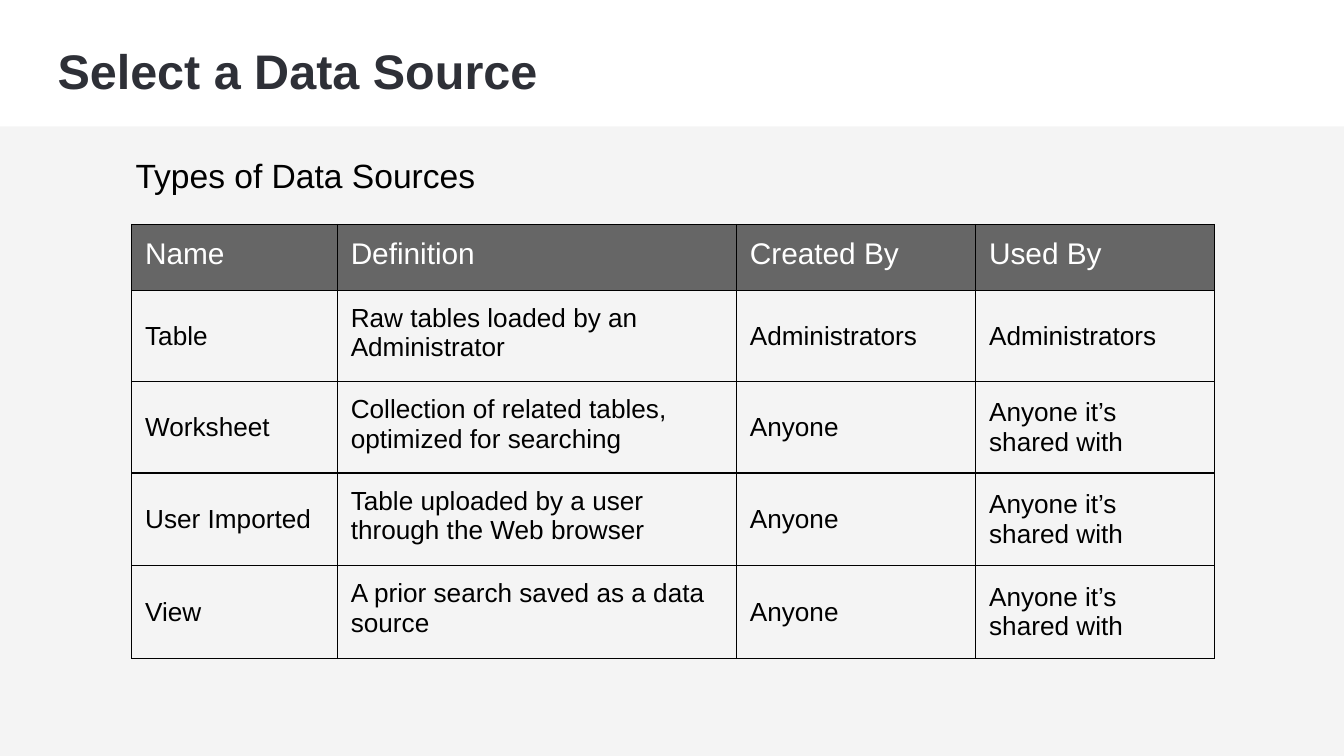
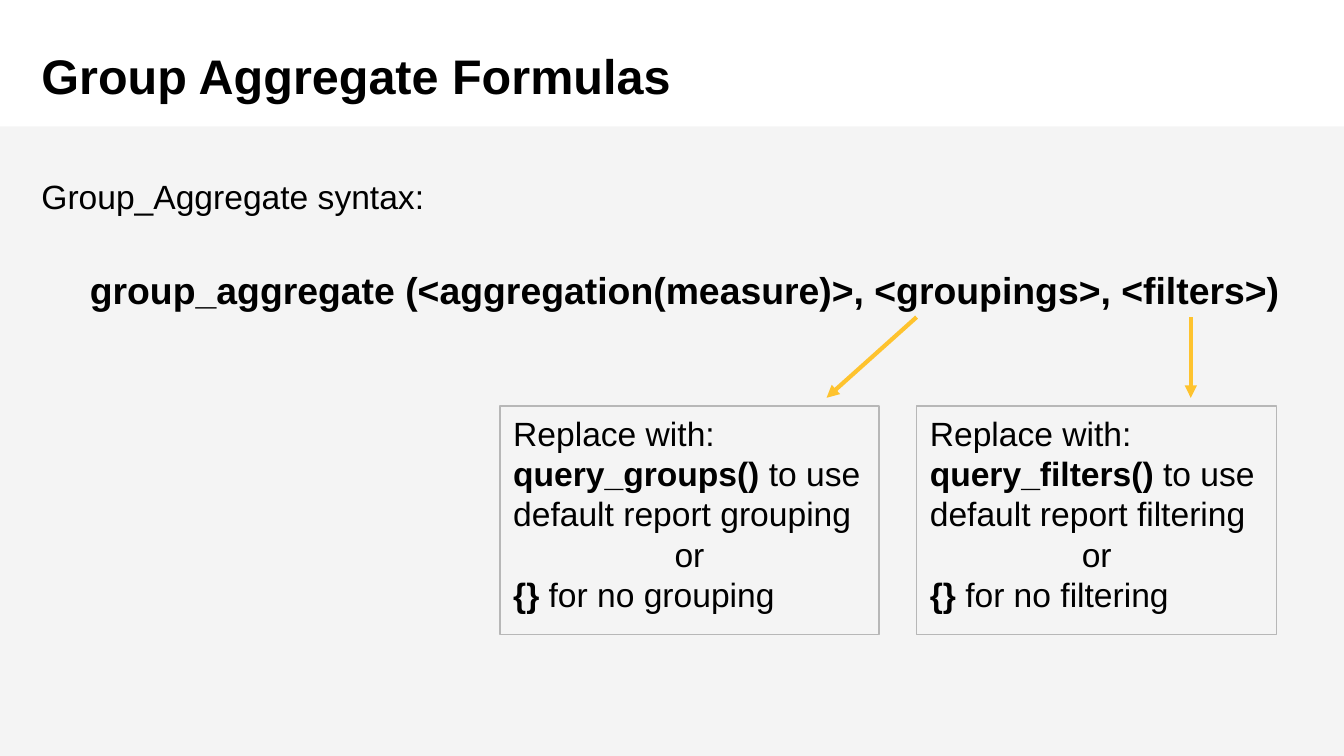
from lxml.etree import SubElement
from pptx import Presentation
from pptx.dml.color import RGBColor
from pptx.enum.shapes import MSO_CONNECTOR, MSO_SHAPE
from pptx.enum.text import MSO_ANCHOR, PP_ALIGN
from pptx.oxml.ns import qn
from pptx.util import Inches, Pt

FONT = "Arial"
HEX = {
    "band": "D5D5D5",
    "title": "2E3037",
    "text": "000000",
    "head": "666666",
    "light": "FFFFFF",
    "edge": "B7B7B7",
    "arrow": "FEC32E",
}
COLS = [1.53, 2.97, 1.78, 1.78]
ROWS = [0.49, 0.68, 0.68, 0.69, 0.69]
DATA = [
    ["Name", "Definition", "Created By", "Used By"],
    ["Table", "Raw tables loaded by an Administrator", "Administrators", "Administrators"],
    ["Worksheet", "Collection of related tables, optimized for searching",
     "Anyone", "Anyone it’s shared with"],
    ["User Imported", "Table uploaded by a user through the Web browser",
     "Anyone", "Anyone it’s shared with"],
    ["View", "A prior search saved as a data source", "Anyone", "Anyone it’s shared with"],
]


def rgb(name):
    """Return the named colour."""
    return RGBColor.from_string(HEX[name])


def style(para, size, color="text", bold=False):
    """Format every run of a paragraph."""
    for run in para.runs:
        font = run.font
        font.name, font.size, font.bold = FONT, Pt(size), bold
        font.color.rgb = rgb(color)


def inset(frame, pad):
    """Wrap the text and set its margins."""
    frame.word_wrap = True
    frame.margin_left = frame.margin_right = Inches(0.1)
    frame.margin_top = frame.margin_bottom = Inches(pad)


def add_text(slide, spot, text, size, color="text", bold=False, pad=0.05,
             anchor=MSO_ANCHOR.TOP):
    """Add a one-paragraph text box and return its paragraph."""
    frame = slide.shapes.add_textbox(*map(Inches, spot)).text_frame
    inset(frame, pad)
    frame.vertical_anchor = anchor
    frame.text = text
    para = frame.paragraphs[0]
    style(para, size, color, bold)
    return para


def add_rect(slide, spot):
    """Add a rectangle with no shadow."""
    rect = slide.shapes.add_shape(MSO_SHAPE.RECTANGLE, *map(Inches, spot))
    rect.shadow.inherit = False
    return rect


def add_page(deck, title, spot, color="text", pad=0.05):
    """Add a slide with the grey band and a title."""
    slide = deck.slides.add_slide(deck.slide_layouts[6])
    band = add_rect(slide, (0, 0.94, 10, 4.69))
    band.fill.solid()
    band.fill.fore_color.rgb = rgb("band")
    band.line.fill.background()
    tone = band.fill._xPr.find(".//" + qn("a:srgbClr"))
    SubElement(tone, qn("a:alpha"), val="25000")
    add_text(slide, spot, title, 26, color, True, pad, MSO_ANCHOR.MIDDLE)
    return slide


def edge_cell(cell):
    """Draw the four borders of a cell."""
    props = cell._tc.get_or_add_tcPr()
    for at, side in enumerate(("lnL", "lnR", "lnT", "lnB")):
        line = props.makeelement(qn("a:" + side), {"w": str(Pt(0.75))})
        fill = SubElement(line, qn("a:solidFill"))
        SubElement(fill, qn("a:srgbClr"), val=HEX["text"])
        props.insert(at, line)


def fill_cell(cell, text, head, mid):
    """Write and format one cell."""
    cell.text = text
    cell.margin_left = cell.margin_right = Inches(0.1)
    cell.margin_top = cell.margin_bottom = Inches(0.1)
    cell.vertical_anchor = MSO_ANCHOR.MIDDLE if mid else MSO_ANCHOR.TOP
    if head:
        cell.fill.solid()
        cell.fill.fore_color.rgb = rgb("head")
    else:
        cell.fill.background()
    style(cell.text_frame.paragraphs[0], 16 if head else 14, "light" if head else "text")
    edge_cell(cell)


def add_grid(slide, left, top):
    """Add the table of data sources."""
    spot = map(Inches, (left, top, sum(COLS), sum(ROWS)))
    table = slide.shapes.add_table(len(ROWS), len(COLS), *spot).table
    table.first_row = table.horz_banding = False
    for col, width in zip(table.columns, COLS):
        col.width = Inches(width)
    for y, (row, height) in enumerate(zip(table.rows, ROWS)):
        row.height = Inches(height)
        for x, cell in enumerate(row.cells):
            fill_cell(cell, DATA[y][x], y == 0, y > 0 and x != 1)


def add_note(slide, left, width, call, noun):
    """Add a framed note on what may replace an argument."""
    rect = add_rect(slide, (left, 3.02, width, 1.7))
    rect.fill.background()
    rect.line.color.rgb = rgb("edge")
    rect.line.width = Pt(0.75)
    frame = rect.text_frame
    inset(frame, 0.05)
    frame.vertical_anchor = MSO_ANCHOR.TOP
    lines = [
        ("", "Replace with:"),
        (call, f" to use default report {noun}"),
        ("", "or"),
        ("{}", f" for no {noun}"),
    ]
    frame.text = "\n".join(key for key, _ in lines)
    for para, (key, rest) in zip(frame.paragraphs, lines):
        para.alignment = PP_ALIGN.CENTER if rest == "or" else PP_ALIGN.LEFT
        para.add_run().text = rest
        style(para, 18)
        if key:
            para.runs[0].font.bold = True


def add_arrow(slide, start, end):
    """Add an arrow between two points."""
    ends = map(Inches, (*start, *end))
    arrow = slide.shapes.add_connector(MSO_CONNECTOR.STRAIGHT, *ends)
    arrow.line.color.rgb = rgb("arrow")
    arrow.line.width = Pt(2.25)
    SubElement(arrow.line._get_or_add_ln(), qn("a:tailEnd"), type="triangle")
    SubElement(arrow._element.spPr, qn("a:effectLst"))


def add_source(deck):
    """Build the slide on data sources."""
    slide = add_page(deck, "Select a Data Source", (0.33, 0.05, 9.5, 0.94), "title")
    add_grid(slide, 0.98, 1.67)
    para = add_text(slide, (0.91, 1.14, 4.08, 0.52), "Types of Data Sources", 18)
    para.line_spacing = 0.9


def add_group(deck):
    """Build the slide on group formulas."""
    slide = add_page(deck, "Group Aggregate Formulas", (0.21, 0.3, 9.29, 0.52), pad=0.1)
    add_text(slide, (0.21, 1.26, 3.08, 0.4), "Group_Aggregate syntax:", 18)
    add_text(slide, (0.57, 1.94, 9.12, 0.44),
             "group_aggregate (<aggregation(measure)>, <groupings>, <filters>)", 20, bold=True)
    add_note(slide, 3.72, 2.82, "query_groups()", "grouping")
    add_note(slide, 6.82, 2.68, "query_filters()", "filtering")
    for start, end in ((8.86, 8.86), (6.82, 6.15)):
        add_arrow(slide, (start, 2.36), (end, 2.96))


def main():
    """Build and save the deck."""
    deck = Presentation()
    deck.slide_width = Inches(10)
    deck.slide_height = Inches(10 * 9 / 16)
    add_source(deck)
    add_group(deck)
    deck.save("out.pptx")


if __name__ == "__main__":
    main()
